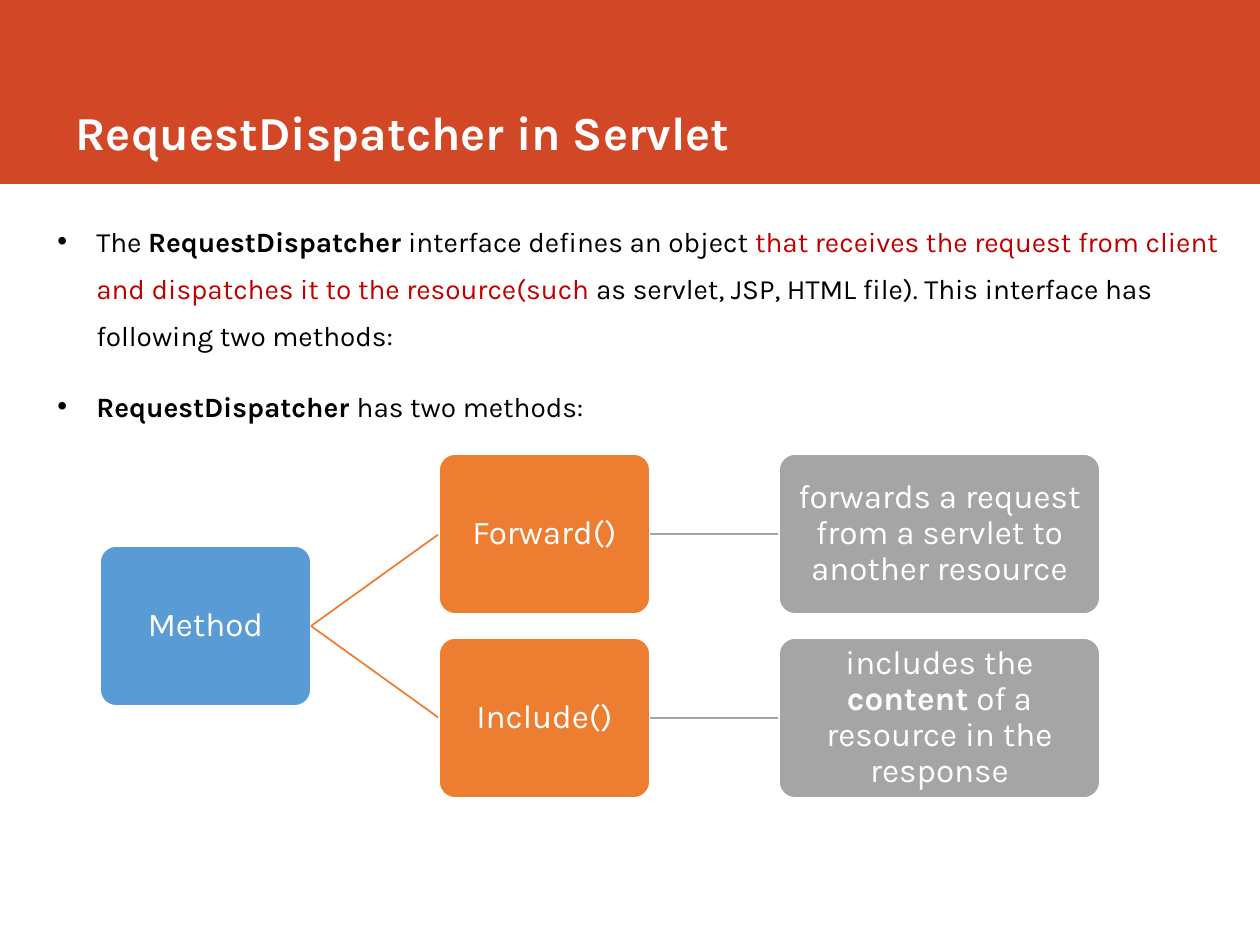
from lxml import etree
from pptx import Presentation
from pptx.dml.color import RGBColor
from pptx.enum.shapes import MSO_CONNECTOR, MSO_SHAPE
from pptx.enum.text import MSO_ANCHOR, MSO_AUTO_SIZE, PP_ALIGN
from pptx.oxml.ns import qn
from pptx.util import Emu, Pt

PX = 914400 // 126
FONT = "Karla"
COLORS = {"band": "D24726", "white": "FFFFFF", "black": "000000", "red": "C00000",
          "blue": "599BD5", "orange": "ED7D31", "gray": "A5A5A5"}

# Runs are (text, color, bold)
TITLE = [("RequestDispatcher in Servlet", "white", True)]
BULLETS = [
    [("The ", "black", False),
     ("RequestDispatcher", "black", True),
     (" interface defines an object ", "black", False),
     ("that receives the request from client and dispatches it to the resource(such ",
      "red", False),
     ("as servlet, JSP, HTML file). This interface has following two methods:",
      "black", False)],
    [("RequestDispatcher ", "black", True), ("has two methods:", "black", False)],
]
ROOT = [("Method", "white", False)]
METHODS = [
    ([("Forward()", "white", False)],
     [("forwards a request from a servlet to another resource", "white", False)]),
    ([("Include()", "white", False)],
     [("includes the ", "white", False), ("content", "white", True),
      (" of a resource in the response", "white", False)]),
]

# Tree columns as (left, width), rows by pitch
ROOT_COL, METHOD_COL, DETAIL_COL = (100, 211), (439, 211), (779, 321)
ROW_TOP, ROW_PITCH, BOX_H = 454, 184, 160


def px(*values):
    return [Emu(v * PX) for v in values]


def rgb(name):
    return RGBColor.from_string(COLORS[name])


def add_runs(p, runs, size):
    for text, color, bold in runs:
        r = p.add_run()
        r.text = text
        r.font.name = FONT
        r.font.size = Pt(size)
        r.font.bold = bold
        r.font.color.rgb = rgb(color)


def set_insets(tf, x, y):
    tf.margin_left = tf.margin_right = Pt(x)
    tf.margin_top = tf.margin_bottom = Pt(y)


def add_bullet(p, indent):
    pPr = p._p.get_or_add_pPr()
    pPr.set("marL", str(indent * PX))
    pPr.set("indent", str(-indent * PX))
    etree.SubElement(pPr, qn("a:buFont"), typeface="Arial")
    etree.SubElement(pPr, qn("a:buChar"), char="•")


def add_box(s, col, top, color, runs):
    left, width = col
    sp = s.shapes.add_shape(MSO_SHAPE.ROUNDED_RECTANGLE, *px(left, top, width, BOX_H))
    sp.adjustments[0] = 0.1
    sp.shadow.inherit = False
    sp.fill.solid()
    sp.fill.fore_color.rgb = rgb(color)
    sp.line.color.rgb = rgb("white")
    sp.line.width = Pt(1)
    tf = sp.text_frame
    tf.word_wrap = True
    tf.vertical_anchor = MSO_ANCHOR.MIDDLE
    set_insets(tf, 3.6, 3.6)
    p = tf.paragraphs[0]
    p.alignment = PP_ALIGN.CENTER
    p.line_spacing = 0.9
    add_runs(p, runs, 19)


def add_link(s, from_col, y1, to_col, y2, color):
    """Line from the right edge of one column to the left edge of another."""
    ends = px(sum(from_col), y1, to_col[0], y2)
    line = s.shapes.add_connector(MSO_CONNECTOR.STRAIGHT, *ends)
    line.line.color.rgb = rgb(color)
    line.line.width = Pt(1)
    etree.SubElement(line._element.spPr, qn("a:effectLst"))


def add_header(s):
    band = s.shapes.add_shape(MSO_SHAPE.RECTANGLE, *px(0, 0, 1260, 184))
    band.shadow.inherit = False
    band.fill.solid()
    band.fill.fore_color.rgb = rgb("band")
    band.line.fill.background()
    title = s.shapes.title
    title._element.addprevious(band._element)
    title.left, title.top, title.width, title.height = px(63, 0, 1111, 166)
    tf = title.text_frame
    tf.auto_size = MSO_AUTO_SIZE.NONE
    tf.word_wrap = True
    tf.vertical_anchor = MSO_ANCHOR.BOTTOM
    set_insets(tf, 7.2, 3.6)
    p = tf.paragraphs[0]
    p.alignment = PP_ALIGN.LEFT
    add_runs(p, TITLE, 27)


def add_body(s):
    tf = s.shapes.add_textbox(*px(45, 205, 1188, 247)).text_frame
    tf.word_wrap = True
    set_insets(tf, 7.2, 3.6)
    for i, runs in enumerate(BULLETS):
        p = tf.add_paragraph() if i else tf.paragraphs[0]
        p.line_spacing = 1.4
        p.space_before = Pt(13.8 if i else 0)
        add_bullet(p, 39)
        add_runs(p, runs, 16)


def add_tree(s):
    root_top = ROW_TOP + ROW_PITCH * (len(METHODS) - 1) // 2
    root_mid = root_top + BOX_H // 2
    add_box(s, ROOT_COL, root_top, "blue", ROOT)
    for i, (method, detail) in enumerate(METHODS):
        top = ROW_TOP + i * ROW_PITCH
        mid = top + BOX_H // 2
        add_link(s, ROOT_COL, root_mid, METHOD_COL, mid, "orange")
        add_box(s, METHOD_COL, top, "orange", method)
        add_link(s, METHOD_COL, mid, DETAIL_COL, mid, "gray")
        add_box(s, DETAIL_COL, top, "gray", detail)


def main():
    prs = Presentation()
    prs.slide_width, prs.slide_height = px(1260, 945)
    s = prs.slides.add_slide(prs.slide_layouts[5])
    add_header(s)
    add_body(s)
    add_tree(s)
    prs.save("out.pptx")


if __name__ == "__main__":
    main()
